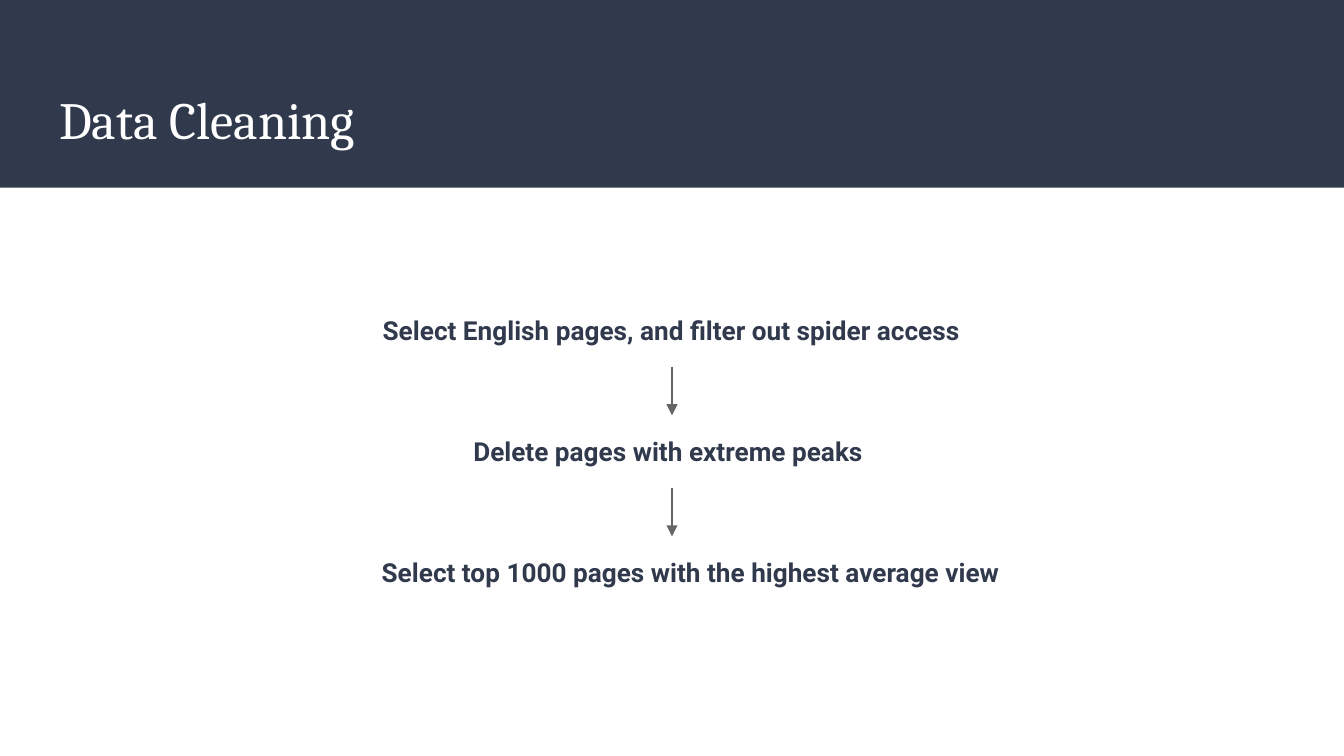
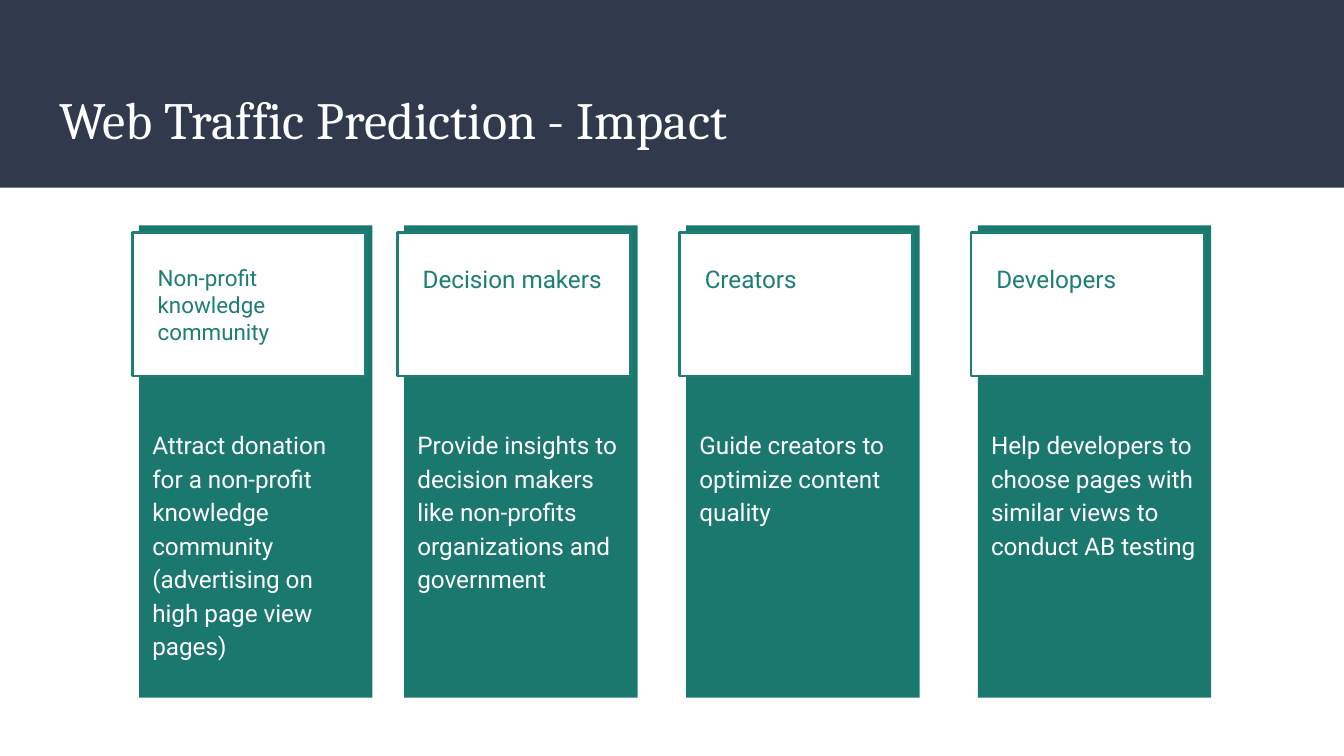
"""Build two slides: the data cleaning steps and the impact cards."""
from typing import NamedTuple, Optional

import lxml.etree
import pptx
import pptx.dml.color
import pptx.enum.shapes
import pptx.enum.text
import pptx.oxml.ns
import pptx.shapes.shapetree
import pptx.slide
import pptx.util

Cm = pptx.util.Cm
Pt = pptx.util.Pt
RGBColor = pptx.dml.color.RGBColor
Align = pptx.enum.text.PP_ALIGN
Tree = pptx.shapes.shapetree.SlideShapes | pptx.shapes.shapetree.GroupShapes

NAVY = RGBColor(0x31, 0x39, 0x4D)
TEAL = RGBColor(0x1B, 0x78, 0x6E)
EDGE = RGBColor(0x1D, 0x7E, 0x74)
GREY = RGBColor(0x66, 0x66, 0x66)
WHITE = RGBColor(0xFF, 0xFF, 0xFF)

WIDE, HIGH = 25.4, 14.29
STEP_TOP, STEP_GAP, STEP_HIGH = 5.69, 2.29, 1.11


class Box(NamedTuple):
    left: float
    top: float
    width: float
    height: float


class Style(NamedTuple):
    font: str
    size: float
    color: RGBColor
    bold: bool = False
    align: Align = Align.LEFT
    space: float = 1.0


class Step(NamedTuple):
    text: str
    width: float = 11.46


class Card(NamedTuple):
    left: float
    head: str
    body: str
    size: float = 13


TITLE = Style("Cambria", 28, WHITE)
STEP = Style("Roboto", 14, NAVY, bold=True, align=Align.CENTER)
BODY = Style("Roboto", 13, WHITE, space=1.15)

STEPS = [
    Step("Select English pages, and filter out spider access"),
    Step("Delete pages with extreme peaks "),
    Step("Select top 1000 pages with the highest average view", 12.19),
]

CARDS = [
    Card(2.63, "Non-profit knowledge community",
         "Attract donation for a non-profit knowledge community "
         "(advertising on high page view pages)", 12),
    Card(7.64, "Decision makers",
         "Provide insights to decision makers like non-profits "
         "organizations and government"),
    Card(12.97, "Creators", "Guide creators to optimize content quality"),
    Card(18.48, "Developers",
         "Help developers to choose pages with similar views to "
         "conduct AB testing"),
]


def add_rect(tree: Tree, box: Box, fill: RGBColor,
             line: Optional[RGBColor] = None) -> None:
    """Draw a filled rectangle, outlined if a line colour is given."""
    rect = tree.add_shape(pptx.enum.shapes.MSO_SHAPE.RECTANGLE,
                          *map(Cm, box))
    rect.shadow.inherit = False
    rect.fill.solid()
    rect.fill.fore_color.rgb = fill
    if line is None:
        rect.line.fill.background()
    else:
        rect.line.color.rgb = line
        rect.line.width = Pt(1.5)


def add_text(tree: Tree, box: Box, text: str, style: Style) -> None:
    """Write one paragraph in a wrapping text box."""
    frame = tree.add_textbox(*map(Cm, box)).text_frame
    frame.word_wrap = True
    frame.margin_left = frame.margin_right = Cm(0.25)
    frame.margin_top = frame.margin_bottom = Cm(0.25)
    para = frame.paragraphs[0]
    para.alignment = style.align
    para.line_spacing = style.space
    run = para.add_run()
    run.text = text
    run.font.name = style.font
    run.font.size = Pt(style.size)
    run.font.bold = style.bold
    run.font.color.rgb = style.color


def add_arrow(tree: Tree, left: float, top: float, length: float) -> None:
    """Draw an arrow that points down."""
    arrow = tree.add_connector(
        pptx.enum.shapes.MSO_CONNECTOR.STRAIGHT,
        Cm(left), Cm(top), Cm(left), Cm(top + length))
    arrow.line.color.rgb = GREY
    arrow.line.width = Pt(0.75)
    qn = pptx.oxml.ns.qn
    props = arrow.element.spPr
    tip = lxml.etree.SubElement(props.find(qn("a:ln")), qn("a:tailEnd"))
    tip.set("type", "triangle")
    lxml.etree.SubElement(props, qn("a:effectLst"))


def add_card(tree: Tree, card: Card) -> None:
    """Draw a panel with its framed heading as one group."""
    group = tree.add_group_shape().shapes
    left = card.left
    add_rect(group, Box(left, 4.26, 4.41, 8.93), TEAL)
    add_rect(group, Box(left - 0.13, 4.4, 4.41, 2.71), WHITE, EDGE)
    add_text(group, Box(left + 0.1, 4.75, 3.94, 2.16), card.head,
             Style("Roboto", card.size, EDGE))
    add_text(group, Box(left, 7.81, 4.41, 4.8), card.body, BODY)


def add_slide(deck: pptx.presentation.Presentation,
              title: str) -> pptx.slide.Slide:
    """Add a blank slide with the title band."""
    slide = deck.slides.add_slide(deck.slide_layouts[6])
    add_rect(slide.shapes, Box(0, 0, WIDE, 3.55), NAVY)
    add_text(slide.shapes, Box(0.87, 1.4, 23.67, 1.74), title, TITLE)
    return slide


def main() -> None:
    """Build and save the deck."""
    deck = pptx.Presentation()
    deck.slide_width, deck.slide_height = Cm(WIDE), Cm(HIGH)

    tree = add_slide(deck, "Data Cleaning").shapes
    for rank, step in enumerate(STEPS):
        top = STEP_TOP + rank * STEP_GAP
        add_text(tree, Box(6.96, top, step.width, STEP_HIGH), step.text, STEP)
        if rank < len(STEPS) - 1:
            add_arrow(tree, WIDE / 2, top + STEP_HIGH + 0.13, 0.92)

    tree = add_slide(deck, "Web Traffic Prediction - Impact").shapes
    for card in CARDS:
        add_card(tree, card)

    deck.save("out.pptx")


if __name__ == "__main__":
    main()
